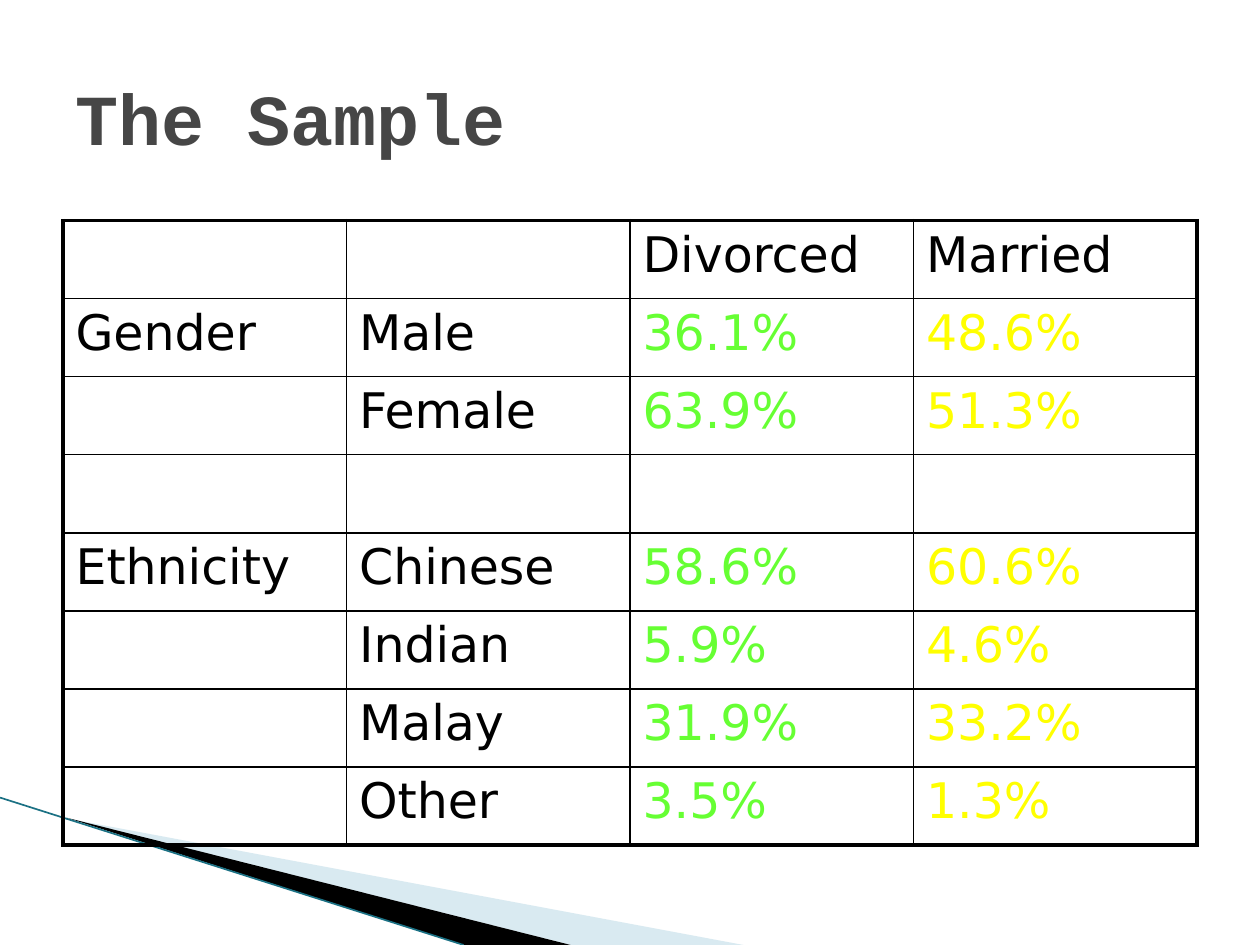
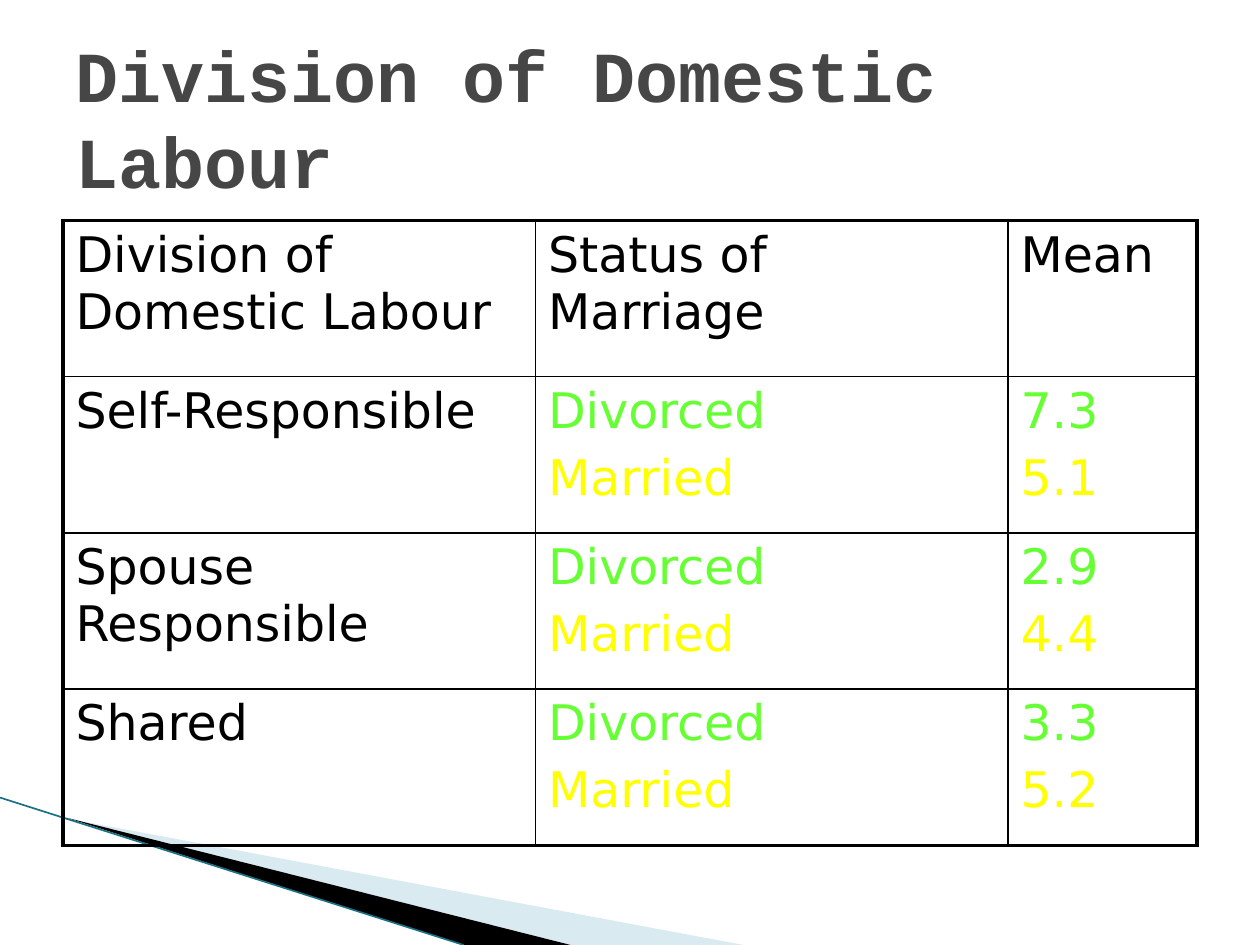
import pptx
import pptx.dml.color
import pptx.enum.shapes
import pptx.enum.text
import pptx.oxml
import pptx.oxml.ns
import pptx.util
from pptx.util import Inches

COLORS = {
    "title": "464646",
    "text": "000000",
    "divorced": "66FF33",
    "married": "FFFF00",
    "border": "000000",
    "pale_band": "A0CBDC",
    "dark_band": "000000",
    "band_line": "1B7184",
}
TITLE_FONT = "Courier New"
BODY_FONT = "DejaVu Sans"
PALE_BAND = [(0.55, 6.5), (5.9, 7.5), (4.53, 7.5)]
DARK_BAND = [(0.53, 6.49), (4.53, 7.5), (3.68, 7.5)]
TABLE_LEFT, TABLE_TOP, TABLE_HEIGHT = 0.5, 1.75, 4.96
OUTER_BORDER, INNER_BORDER = 2.25, 1


def rgb(name):
    return pptx.dml.color.RGBColor.from_string(COLORS[name])


class SlideBuilder:
    def __init__(self, deck):
        self.deck = deck
        self.page = None

    def new_page(self, title):
        self.page = self.deck.slides.add_slide(self.deck.slide_layouts[5])
        self.band(PALE_BAND, "pale_band", opacity=40)
        self.band(DARK_BAND, "dark_band")
        self.line((0, 6.33), (3.68, 7.5), "band_line", 0.95)
        self.title(title)

    def band(self, corners, color, opacity=100):
        points = [(Inches(x), Inches(y)) for x, y in corners]
        builder = self.page.shapes.build_freeform(*points[0])
        builder.add_line_segments(points[1:], close=True)
        shape = builder.convert_to_shape()
        shape.shadow.inherit = False
        shape.line.fill.background()
        shape.fill.solid()
        shape.fill.fore_color.rgb = rgb(color)
        if opacity < 100:
            fill_color = shape.element.spPr.find(".//" + pptx.oxml.ns.qn("a:srgbClr"))
            fill_color.append(self.xml("alpha", f'val="{opacity * 1000}"'))

    def line(self, start, end, color, width):
        ends = [Inches(length) for length in (*start, *end)]
        line = self.page.shapes.add_connector(
            pptx.enum.shapes.MSO_CONNECTOR.STRAIGHT, *ends)
        line.line.color.rgb = rgb(color)
        line.line.width = pptx.util.Pt(width)
        line.element.spPr.append(self.xml("effectLst"))

    def title(self, text):
        box = self.page.shapes.title
        box.left, box.top = Inches(0.5), Inches(0.3)
        box.width, box.height = Inches(9), Inches(1.25)
        frame = box.text_frame
        frame.text = text
        frame.word_wrap = True
        frame.auto_size = pptx.enum.text.MSO_AUTO_SIZE.NONE
        frame.vertical_anchor = pptx.enum.text.MSO_ANCHOR.MIDDLE
        para = frame.paragraphs[0]
        para.alignment = pptx.enum.text.PP_ALIGN.LEFT
        self.format(para, TITLE_FONT, 41, "title", bold=True)

    def table(self, rows, widths, color_of):
        frame = self.page.shapes.add_table(
            len(rows), len(widths), Inches(TABLE_LEFT), Inches(TABLE_TOP),
            Inches(sum(widths)), Inches(TABLE_HEIGHT))
        table = frame.table
        table.first_row = table.horz_banding = False
        for column, width in zip(table.columns, widths):
            column.width = Inches(width)
        for row_index, texts in enumerate(rows):
            table.rows[row_index].height = Inches(TABLE_HEIGHT / len(rows))
            for column_index, text in enumerate(texts):
                cell = table.cell(row_index, column_index)
                cell.fill.background()
                self.cell_borders(cell, {
                    "L": column_index == 0,
                    "R": column_index == len(widths) - 1,
                    "T": row_index == 0,
                    "B": row_index == len(rows) - 1,
                })
                cell.text_frame.text = text
                for line_index, para in enumerate(cell.text_frame.paragraphs):
                    if line_index:
                        para.space_before = pptx.util.Pt(5.6)
                    color = color_of(row_index, column_index, line_index)
                    self.format(para, BODY_FONT, 28, color)

    def cell_borders(self, cell, outer_sides):
        properties = cell._tc.get_or_add_tcPr()
        for position, (side, outer) in enumerate(outer_sides.items()):
            width = pptx.util.Pt(OUTER_BORDER if outer else INNER_BORDER)
            fill = f'<a:solidFill><a:srgbClr val="{COLORS["border"]}"/></a:solidFill>'
            properties.insert(position, self.xml(f"ln{side}", f'w="{width}"', fill))

    @staticmethod
    def format(para, font, size, color, bold=False):
        for span in para.runs:
            span.font.name = font
            span.font.size = pptx.util.Pt(size)
            span.font.bold = bold
            span.font.color.rgb = rgb(color)

    @staticmethod
    def xml(tag, attributes="", content=""):
        namespace = pptx.oxml.ns.nsdecls("a")
        return pptx.oxml.parse_xml(
            f"<a:{tag} {namespace} {attributes}>{content}</a:{tag}>")


def sample_color(row, column, line):
    if row == 0:
        return "text"
    return ("text", "text", "divorced", "married")[column]


def labour_color(row, column, line):
    if row == 0 or column == 0:
        return "text"
    return ("divorced", "married")[line]


def main():
    deck = pptx.Presentation()
    deck.slide_width, deck.slide_height = Inches(10), Inches(7.5)
    slides = SlideBuilder(deck)

    slides.new_page("The Sample")
    slides.table([
        ("", "", "Divorced", "Married"),
        ("Gender", "Male", "36.1%", "48.6%"),
        ("", "Female", "63.9%", "51.3%"),
        ("", "", "", ""),
        ("Ethnicity", "Chinese", "58.6%", "60.6%"),
        ("", "Indian", "5.9%", "4.6%"),
        ("", "Malay", "31.9%", "33.2%"),
        ("", "Other", "3.5%", "1.3%"),
    ], [2.25] * 4, sample_color)

    slides.new_page("Division of Domestic Labour")
    means = [
        ("Self-Responsible", "7.3", "5.1"),
        ("Spouse Responsible", "2.9", "4.4"),
        ("Shared", "3.3", "5.2"),
    ]
    header = ("Division of Domestic Labour", "Status of Marriage", "Mean")
    rows = [(division, "Divorced\nMarried", f"{divorced}\n{married}")
            for division, divorced, married in means]
    slides.table([header] + rows, [3.75, 3.75, 1.5], labour_color)

    deck.save("out.pptx")


if __name__ == "__main__":
    main()
